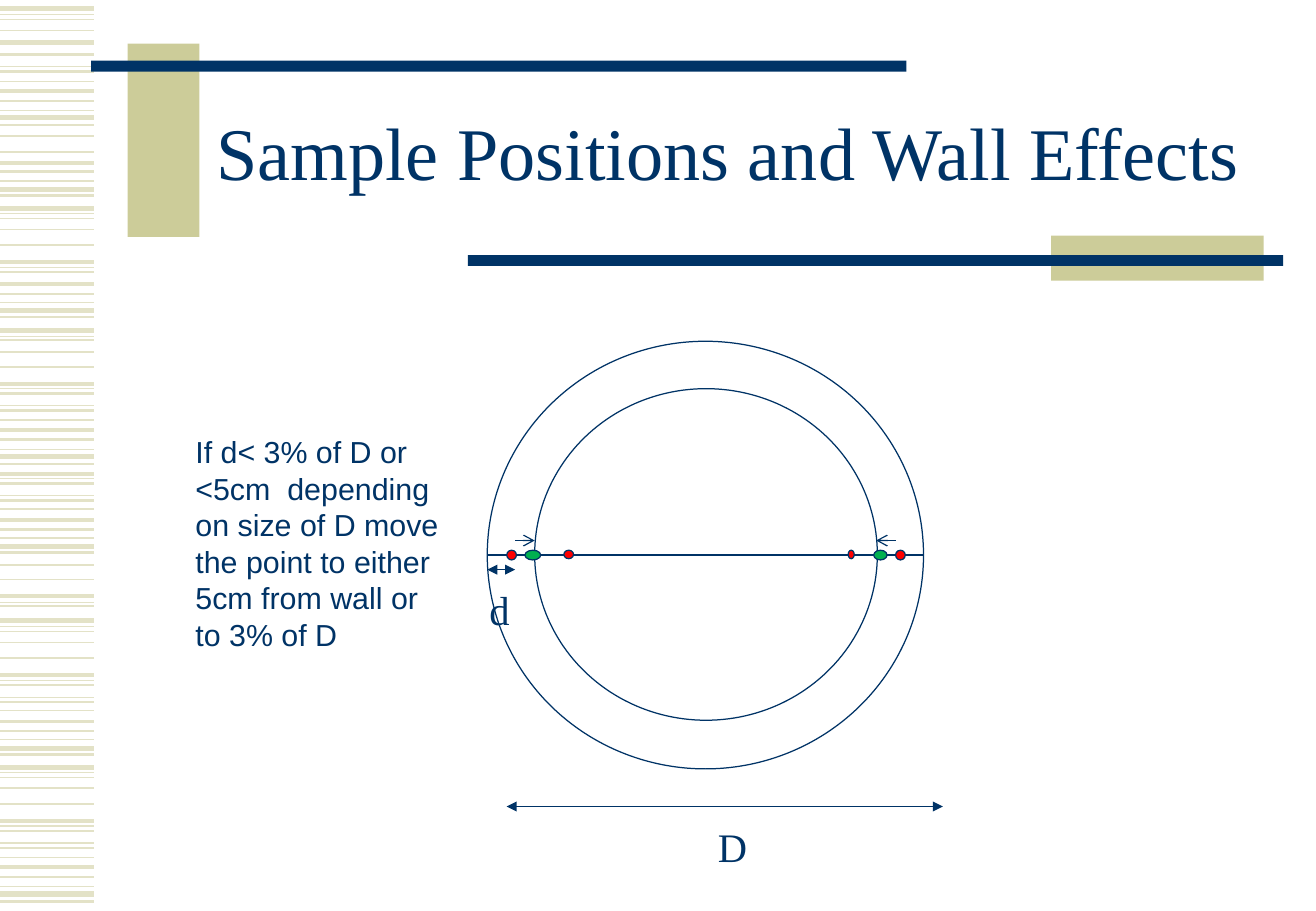
from lxml.etree import SubElement
from pptx import Presentation
from pptx.dml.color import RGBColor
from pptx.enum.shapes import MSO_CONNECTOR, MSO_SHAPE
from pptx.enum.text import MSO_ANCHOR, PP_ALIGN
from pptx.oxml.ns import qn
from pptx.util import Inches, Pt

NAVY, KHAKI, PALE_KHAKI = "003366", "CCCC99", "E3E2C7"
RED, GREEN = "FF0000", "00B050"
SERIF, SANS = "Times New Roman", "Arial"
THIN = 0.75

# Stripe weight in points: heights down the left edge
STRIPE_WIDTH = 0.77
STRIPES = {
    0.75: [0.12, 0.55, 0.91, 1.49, 1.76, 2.2, 2.49, 2.77, 3.2, 3.34, 3.7, 3.94,
           4.08, 4.43, 4.96, 5.16, 5.6, 5.74, 6.09, 6.36, 6.8, 6.94, 7.3],
    1: [0.16, 0.25, 0.67, 1.12, 1.25, 1.8, 1.89, 2.02, 2.8, 2.9, 3.02, 3.46,
        4.19, 4.65, 4.77, 5.2, 5.29, 5.42, 5.85, 6.4, 6.49, 6.62, 7.06],
    1.5: [0.45, 0.59, 0.83, 1.03, 1.41, 1.61, 2.24, 2.42, 2.61, 3.24, 3.38, 3.62, 3.82,
          3.98, 4.12, 4.36, 4.55, 4.99, 5.64, 5.78, 6.02, 6.21, 6.84, 6.98, 7.22, 7.42],
    2.25: [0.75, 1.34, 2.16, 2.34, 3.16, 3.54, 3.9, 4.28, 4.91, 5.56, 5.94, 6.76, 7.14],
    3: [0.07, 0.35, 0.97, 1.56, 1.72, 2.56, 2.72, 3.76, 4.5, 5.11, 6.16, 6.32, 7.36],
}

# Left, top, width, height, colour
BARS = [
    (1.05, 0.36, 0.59, 1.59, KHAKI),
    (0.75, 0.5, 6.71, 0.09, NAVY),
    (8.65, 1.94, 1.75, 0.37, KHAKI),
    (3.85, 2.1, 6.71, 0.09, NAVY),
]

TITLE = "Sample Positions and Wall Effects"
RULE = ("If d< 3% of D or <5cm  depending on size of D move "
        "the point to either 5cm from wall or to 3% of D")

# Text, left, top, width, height, size, font
LABELS = [
    ("D", 5.81, 6.72, 0.47, 0.51, 24, SERIF),
    ("d", 3.93, 4.77, 0.47, 0.51, 24, SERIF),
    (RULE, 1.51, 3.52, 2.27, 1.92, 18, SANS),
]

# Left, top, width, height
DUCT_WALL = (4.01, 2.81, 3.59, 3.52)
WALL_LIMIT = (4.4, 3.2, 2.82, 2.73)

# From x, to x, y, start arrowhead, end arrowhead
LINES = [
    (4.01, 7.6, 4.57, None, None),
    (7.37, 7.21, 4.45, None, "arrow"),
    (4.24, 4.4, 4.45, None, "arrow"),
    (4.17, 7.76, 6.64, "triangle", "triangle"),
    (4.01, 4.24, 4.69, "triangle", "triangle"),
]

# Left, width, height, colour
POINT_TOP = 4.53
SAMPLE_POINTS = [
    (4.17, 0.08, 0.08, RED),
    (7.37, 0.08, 0.08, RED),
    (4.64, 0.08, 0.07, RED),
    (6.98, 0.05, 0.07, RED),
    (4.32, 0.13, 0.08, GREEN),
    (7.19, 0.11, 0.08, GREEN),
]


def rgb(value):
    return RGBColor.from_string(value)


def add_figure(slide, preset, left, top, width, height, fill=None, outline=None):
    figure = slide.shapes.add_shape(
        preset, Inches(left), Inches(top), Inches(width), Inches(height))
    figure.shadow.inherit = False
    if fill:
        figure.fill.solid()
        figure.fill.fore_color.rgb = rgb(fill)
    else:
        figure.fill.background()
    if outline:
        figure.line.color.rgb = rgb(outline)
        figure.line.width = Pt(THIN)
    else:
        figure.line.fill.background()


def add_level_line(slide, start, end, y, color, weight, head=None, tail=None):
    """Draw a horizontal line with optional arrowheads."""
    line = slide.shapes.add_connector(
        MSO_CONNECTOR.STRAIGHT, Inches(start), Inches(y), Inches(end), Inches(y))
    line.line.color.rgb = rgb(color)
    line.line.width = Pt(weight)
    properties = line._element.spPr
    for tag, arrowhead in (("a:headEnd", head), ("a:tailEnd", tail)):
        if arrowhead:
            SubElement(properties.find(qn("a:ln")), qn(tag), type=arrowhead)
    SubElement(properties, qn("a:effectLst"))


def add_label(slide, text, left, top, width, height, size, font):
    label = slide.shapes.add_textbox(
        Inches(left), Inches(top), Inches(width), Inches(height))
    label.text_frame.word_wrap = True
    run = label.text_frame.paragraphs[0].add_run()
    run.text = text
    run.font.size = Pt(size)
    run.font.name = font
    run.font.color.rgb = rgb(NAVY)
    return label.text_frame


def main():
    prs = Presentation()
    prs.slide_width, prs.slide_height = Inches(10.83), Inches(7.5)
    slide = prs.slides.add_slide(prs.slide_layouts[6])

    for weight, heights in STRIPES.items():
        for y in heights:
            add_level_line(slide, 0, STRIPE_WIDTH, y, PALE_KHAKI, weight)
    for *box, color in BARS:
        add_figure(slide, MSO_SHAPE.RECTANGLE, *box, fill=color)

    title = add_label(slide, TITLE, 1.62, 0.67, 8.74, 1.25, 44, SERIF)
    title.vertical_anchor = MSO_ANCHOR.MIDDLE
    title.paragraphs[0].alignment = PP_ALIGN.CENTER
    title.paragraphs[0].line_spacing = 0.85

    for circle in (DUCT_WALL, WALL_LIMIT):
        add_figure(slide, MSO_SHAPE.OVAL, *circle, outline=NAVY)
    for start, end, y, head, tail in LINES:
        add_level_line(slide, start, end, y, NAVY, THIN, head, tail)
    for label in LABELS:
        add_label(slide, *label)
    for left, width, height, color in SAMPLE_POINTS:
        add_figure(slide, MSO_SHAPE.OVAL, left, POINT_TOP, width, height, color, NAVY)

    prs.save("out.pptx")


if __name__ == "__main__":
    main()
